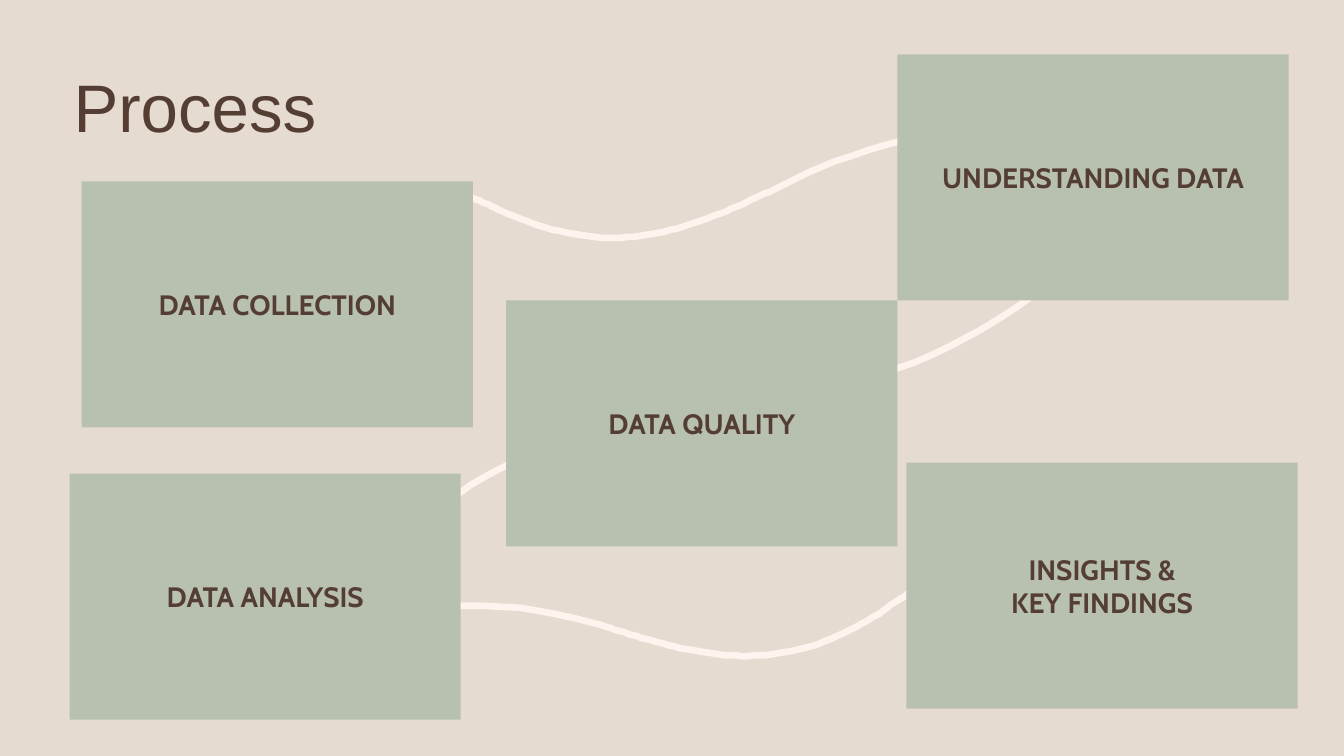
from pptx import Presentation, util as u
from pptx.dml.color import RGBColor
from pptx.enum import shapes, text

# Content, on a grid of 1333 columns by 750 rows
COLS, ROWS = 1333, 750
HUES = {"sand": "E6DBD0", "sage": "B8C0B0", "brown": "543E34", "cream": "FEF3ED"}
TITLE = ("Process", (63, 9, 828, 142))
BOX = (388, 244)
STEPS = [
    ("UNDERSTANDING DATA", (890, 54)),
    ("DATA ANALYSIS", (69, 470)),
    ("INSIGHTS &\nKEY FINDINGS", (899, 459)),
    ("DATA COLLECTION", (81, 180)),
    ("DATA QUALITY", (502, 298)),
]
# Each wave: a start, then two handles and an end for every bend
WAVES = [
    [(833, 383), (913, 363), (985, 327), (1047, 275)],
    [(584, 428), (509, 452), (445, 490), (389, 539)],
    [(307, 223), (350, 187), (398, 177), (449, 190),
     (466, 194), (481, 201), (497, 209), (530, 224), (565, 235), (604, 236),
     (637, 236), (670, 229), (701, 217), (737, 203), (757, 193), (778, 183),
     (801, 171), (940, 103), (1027, 146)],
    [(920, 579), (904, 586), (891, 595), (877, 605),
     (848, 625), (815, 641), (778, 647), (746, 653), (714, 651), (681, 644),
     (645, 636), (624, 629), (602, 622), (578, 615), (434, 570), (347, 636)],
]
CUTS = 16  # straight pieces per bend

deck = Presentation()
deck.slide_width, deck.slide_height = u.Inches(13.33), u.Inches(7.5)
cell = deck.slide_width / COLS
row = deck.slide_height / ROWS


def hue(name):
    return RGBColor.from_string(HUES[name])


def place(x, y, w, h):
    return [round(v * s) for v, s in zip((x, y, w, h), (cell, row) * 2)]


def write(shape, words, size, font, bold=False, align="CENTER",
          anchor="MIDDLE", gap=1.0):
    frame = shape.text_frame
    frame.text = words
    frame.word_wrap = True
    frame.auto_size = text.MSO_AUTO_SIZE.NONE
    frame.vertical_anchor = getattr(text.MSO_ANCHOR, anchor)
    for para in frame.paragraphs:
        para.alignment = getattr(text.PP_ALIGN, align)
        para.line_spacing = gap
        for run in para.runs:
            run.font.size, run.font.name = u.Pt(size), font
            run.font.bold = bold
            run.font.color.rgb = hue("brown")


def bend(a, b, c, d):
    """Points along one cubic curve, without its start."""
    for k in range(1, CUTS + 1):
        t = k / CUTS
        s = 1 - t
        yield tuple(s**3 * p + 3 * s * s * t * q + 3 * s * t * t * r + t**3 * e
                    for p, q, r, e in zip(a, b, c, d))


# Slide and title
slide = deck.slides.add_slide(deck.slide_layouts[5])
slide.background.fill.solid()
slide.background.fill.fore_color.rgb = hue("sand")
title = slide.shapes.title
title.left, title.top, title.width, title.height = place(*TITLE[1])
write(title, TITLE[0], 48, "Arial", align="LEFT", anchor="BOTTOM", gap=0.9)

# Waves behind the boxes
for wave in WAVES:
    pen = slide.shapes.build_freeform(*wave[0], scale=(cell, row))
    for i in range(0, len(wave) - 1, 3):
        pen.add_line_segments(list(bend(*wave[i:i + 4])), close=False)
    line = pen.convert_to_shape()
    line.shadow.inherit = False
    line.fill.background()
    line.line.color.rgb = hue("cream")
    line.line.width = u.Pt(4.75)

# Step boxes
for words, spot in STEPS:
    box = slide.shapes.add_shape(shapes.MSO_SHAPE.RECTANGLE, *place(*spot, *BOX))
    box.shadow.inherit = False
    box.fill.solid()
    box.fill.fore_color.rgb = hue("sage")
    box.line.fill.background()
    write(box, words, 20, "Cabin", bold=True)

deck.save("out.pptx")
